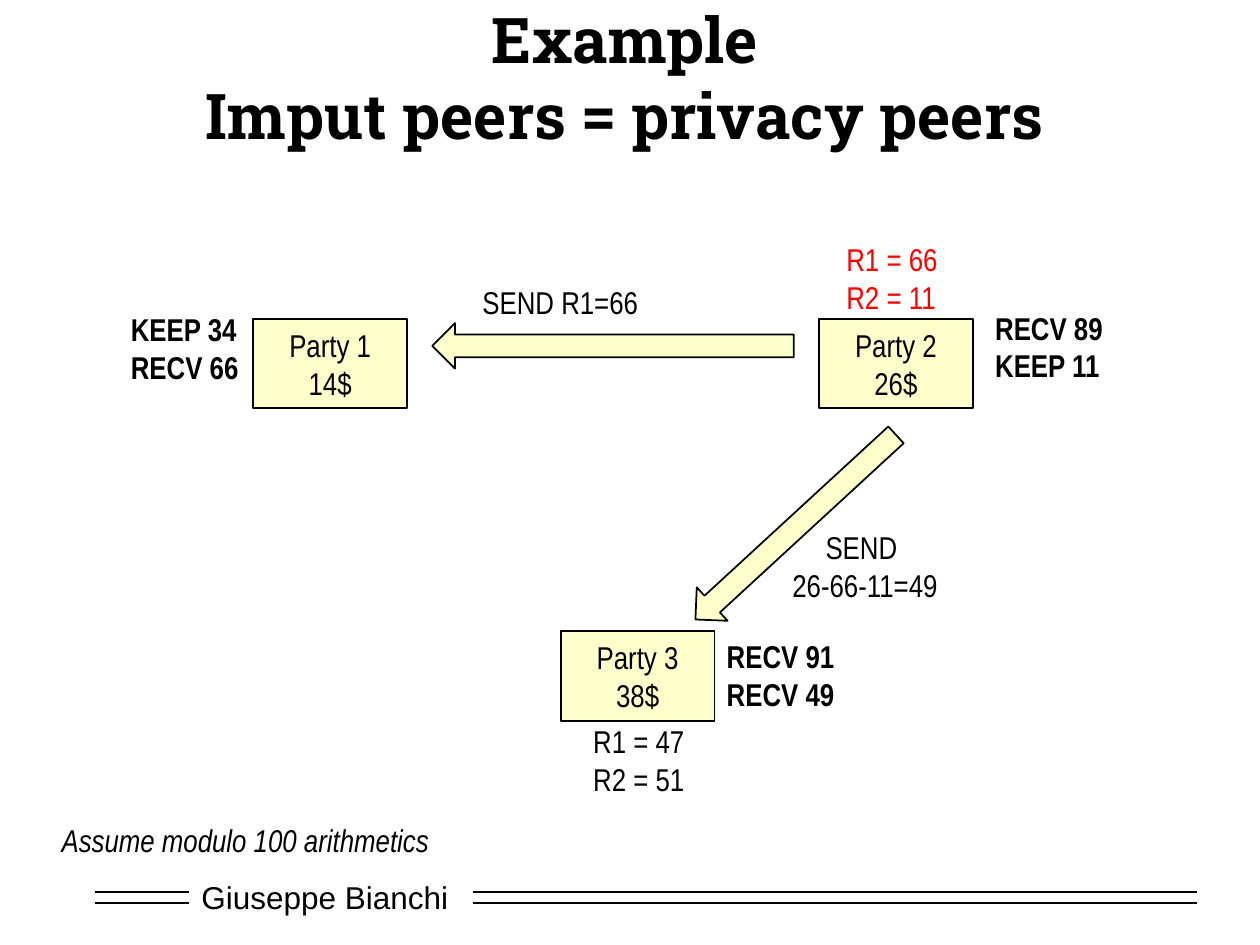
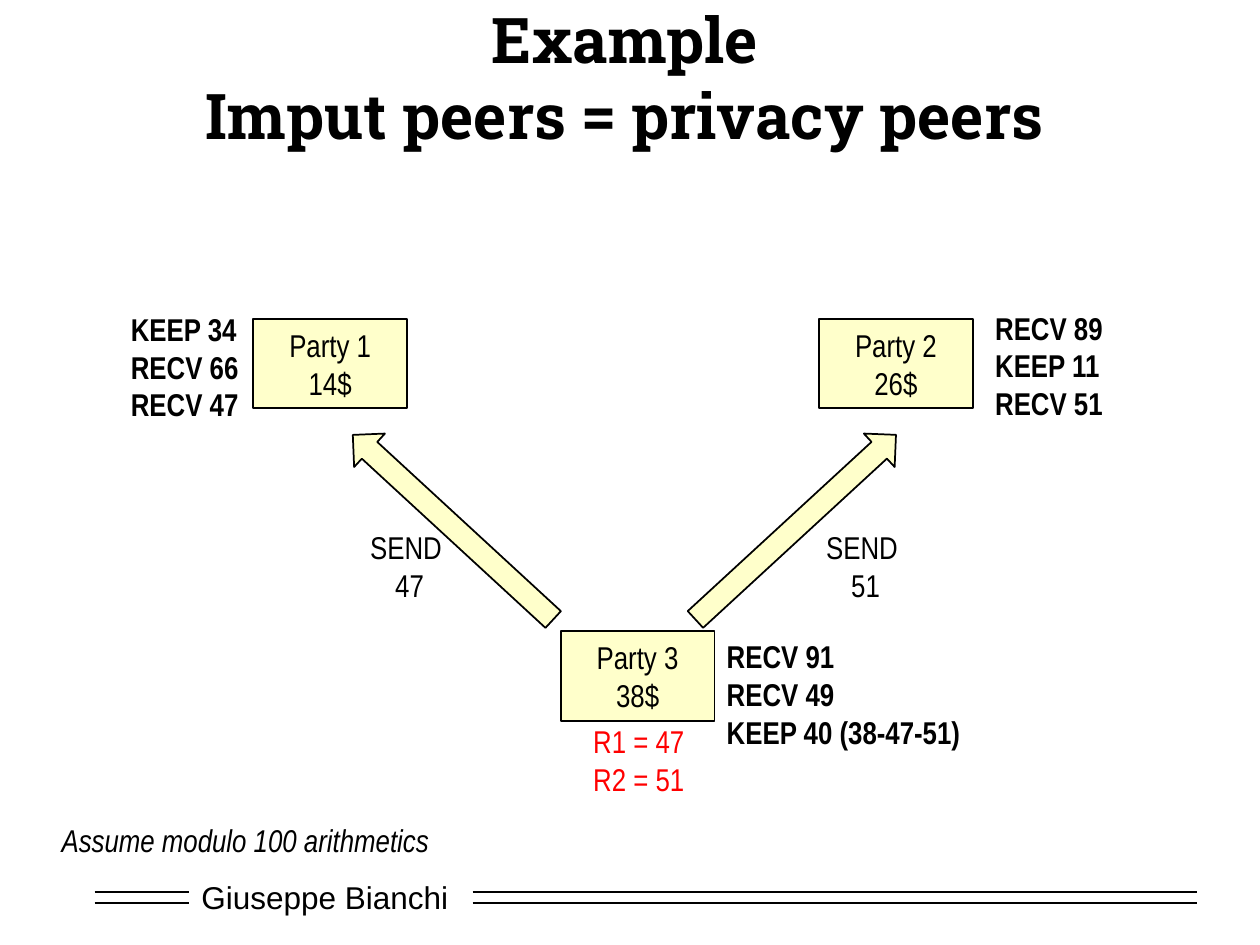
from math import atan2, degrees, hypot

from lxml.etree import SubElement
from pptx import Presentation
from pptx.dml.color import RGBColor
from pptx.enum.shapes import MSO_CONNECTOR as Connector, MSO_SHAPE as Shape
from pptx.enum.text import MSO_ANCHOR as Anchor, PP_ALIGN as Align
from pptx.oxml.ns import qn
from pptx.util import Pt

BLACK, RED, WHITE, YELLOW = "000000", "FF0000", "FFFFFF", "FFFF99"
BODY = {"name": "Arial Narrow", "size": Pt(18)}
BOLD = {**BODY, "bold": True}
ITALIC = {**BODY, "italic": True}
TITLE = {"name": "Roboto Slab", "size": Pt(36), "bold": True}
FOOTER = {"name": "Arial", "size": Pt(18)}

TITLE_LINES = "Example\vImput peers = privacy peers"
AUTHOR = "Giuseppe Bianchi"
NOTE = "Assume modulo 100 arithmetics"
RULE_SPANS = [(54, 108), (270, 684)]
RULE_HEIGHTS = [509.8, 516.2]

PARTY_SIZE = (88, 51.2)
PARTIES = [
    (["Party 1", "14$"], 144.7, 182.2),
    (["Party 2", "26$"], 468, 182.2),
    (["Party 3", "38$"], 320.4, 360.7),
]
ARROW_THICKNESS = 26

# Arrow ends next to each party
PARTY_1_SIDE, PARTY_2_SIDE = (247, 197.6), (453.6, 197.6)
PARTY_1_BELOW, PARTY_2_BELOW = (201.6, 248.5), (512, 248.5)
PARTY_3_LEFT, PARTY_3_RIGHT = (316.1, 354), (397.4, 354)

# Label places: left, top, width
SHARES_1, SHARES_2 = (67.7, 173.5, 77), (561.6, 172.8, 77)
SHARES_3, SHARES_3_WIDE = (408.2, 360.7, 77), (408.2, 360.7, 149.8)
RANDOM_2, RANDOM_3 = (476.6, 133.9, 67), (331.9, 409, 67.7)
CENTERED = {"align": Align.CENTER}

# Each slide: arrows (start, end) and labels (lines, place, options)
SLIDES = [
    {
        "arrows": [(PARTY_2_SIDE, PARTY_1_SIDE), (PARTY_2_BELOW, PARTY_3_RIGHT)],
        "labels": [
            (["KEEP 34", "RECV 66"], SHARES_1, {"font": BOLD}),
            (["RECV 89", "KEEP 11"], SHARES_2, {"font": BOLD}),
            (["RECV 91", "RECV 49"], SHARES_3, {"font": BOLD}),
            (["R1 = 66", "R2 = 11"], RANDOM_2, {"color": RED}),
            (["R1 = 47", "R2 = 51"], RANDOM_3, {}),
            (["SEND R1=66"], (268.6, 158.4, 104.4), {}),
            (["SEND ", "26-66-11=49"], (445, 298.1, 98.6), CENTERED),
        ],
    },
    {
        "arrows": [(PARTY_3_LEFT, PARTY_1_BELOW), (PARTY_3_RIGHT, PARTY_2_BELOW)],
        "labels": [
            (["KEEP 34", "RECV 66", "RECV 47"], SHARES_1, {"font": BOLD}),
            (["RECV 89", "KEEP 11", "RECV 51"], SHARES_2, {"font": BOLD}),
            (["RECV 91", "RECV 49", "KEEP 40 (38-47-51)"], SHARES_3_WIDE, {"font": BOLD}),
            (["R1 = 47", "R2 = 51"], RANDOM_3, {"color": RED}),
            (["SEND ", "47"], (203.8, 298.1, 60.5), CENTERED),
            (["SEND ", "51"], (464.4, 298.1, 60.5), CENTERED),
        ],
    },
]


def rgb(value):
    return RGBColor.from_string(value)


def write(shape, lines, font=BODY, color=BLACK, align=Align.LEFT):
    frame = shape.text_frame
    frame.text = "\n".join(lines)
    for paragraph in frame.paragraphs:
        paragraph.alignment = align
        for run in paragraph.runs:
            for name, value in font.items():
                setattr(run.font, name, value)
            run.font.color.rgb = rgb(color)


def add_label(slide, lines, place, **options):
    """Add an unwrapped text box, as tall as its lines need."""
    left, top, width = place
    height = 7.2 + 22 * len(lines)
    box = slide.shapes.add_textbox(Pt(left), Pt(top), Pt(width), Pt(height))
    box.text_frame.word_wrap = False
    write(box, lines, **options)


def add_yellow_shape(slide, kind, left, top, width, height):
    """Add a half transparent yellow shape with a thin black outline."""
    shape = slide.shapes.add_shape(kind, Pt(left), Pt(top), Pt(width), Pt(height))
    shape.shadow.inherit = False
    shape.fill.solid()
    shape.fill.fore_color.rgb = rgb(YELLOW)
    color = shape.fill._xPr.find(qn("a:solidFill"))[0]
    SubElement(color, qn("a:alpha"), val="50000")
    shape.line.color.rgb = rgb(BLACK)
    shape.line.width = Pt(1)
    return shape


def add_block_arrow(slide, start, end):
    """Add a block arrow whose axis runs from start to end."""
    (x1, y1), (x2, y2) = start, end
    length = hypot(x2 - x1, y2 - y1)
    left = (x1 + x2 - length) / 2
    top = (y1 + y2 - ARROW_THICKNESS) / 2
    arrow = add_yellow_shape(slide, Shape.RIGHT_ARROW, left, top, length, ARROW_THICKNESS)
    arrow.rotation = degrees(atan2(y2 - y1, x2 - x1)) % 360


def add_title(slide):
    box = slide.shapes.add_textbox(Pt(54), Pt(18), Pt(606), Pt(51))
    box.text_frame.word_wrap = True
    box.text_frame.vertical_anchor = Anchor.MIDDLE
    write(box, [TITLE_LINES], font=TITLE, align=Align.CENTER)


def add_footer(slide):
    author = slide.shapes.add_textbox(Pt(108), Pt(498.2), Pt(156), Pt(29))
    author.fill.solid()
    author.fill.fore_color.rgb = rgb(WHITE)
    author.text_frame.word_wrap = True
    author.text_frame.vertical_anchor = Anchor.MIDDLE
    write(author, [AUTHOR], font=FOOTER)
    for y in RULE_HEIGHTS:
        for start, end in RULE_SPANS:
            rule = slide.shapes.add_connector(
                Connector.STRAIGHT, Pt(start), Pt(y), Pt(end), Pt(y))
            rule.line.color.rgb = rgb(BLACK)
            rule.line.width = Pt(1)
            SubElement(rule._element.spPr, qn("a:effectLst"))


def build_slide(presentation, content):
    slide = presentation.slides.add_slide(presentation.slide_layouts[6])
    add_footer(slide)
    add_title(slide)
    for lines, left, top in PARTIES:
        party = add_yellow_shape(slide, Shape.RECTANGLE, left, top, *PARTY_SIZE)
        write(party, lines, align=Align.CENTER)
    for start, end in content["arrows"]:
        add_block_arrow(slide, start, end)
    for lines, place, options in content["labels"]:
        add_label(slide, lines, place, **options)
    add_label(slide, [NOTE], (28.1, 465.8, 226.8), font=ITALIC)


def main():
    presentation = Presentation()
    presentation.slide_width, presentation.slide_height = Pt(720), Pt(540)
    for content in SLIDES:
        build_slide(presentation, content)
    presentation.save("out.pptx")


if __name__ == "__main__":
    main()
